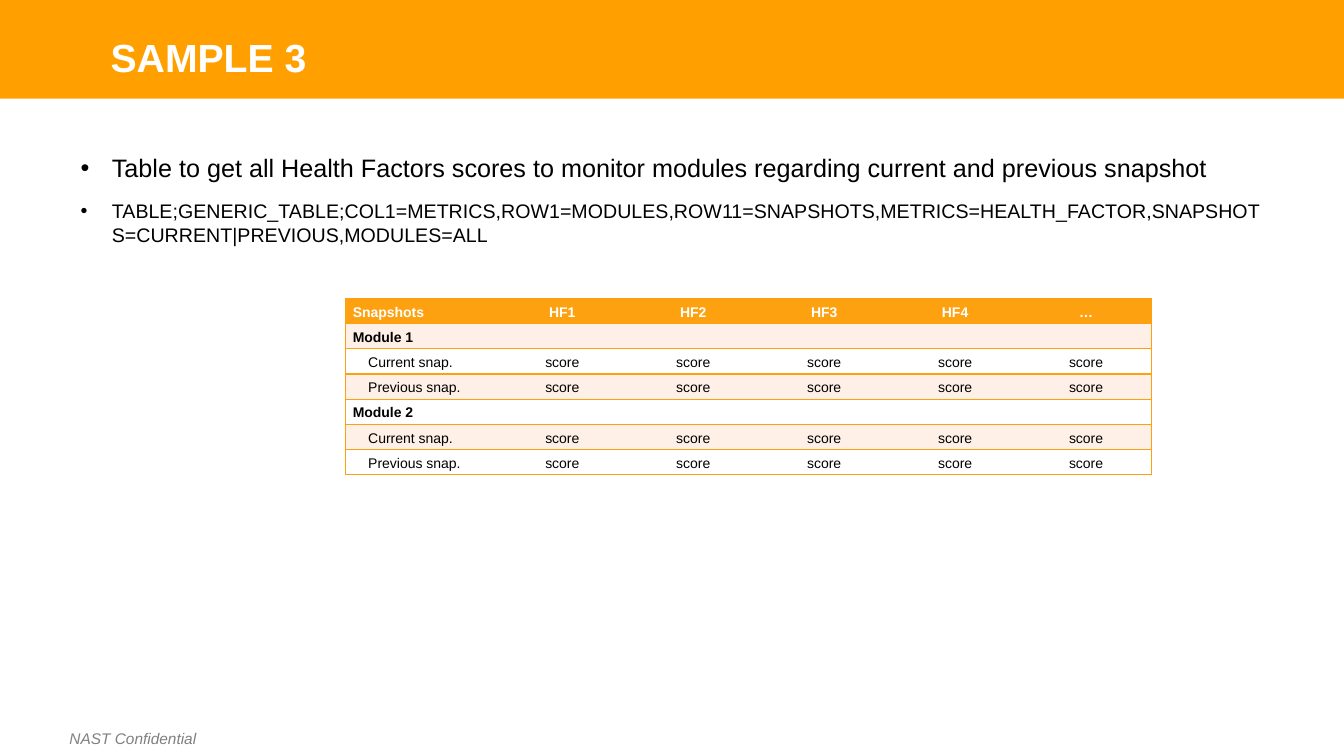
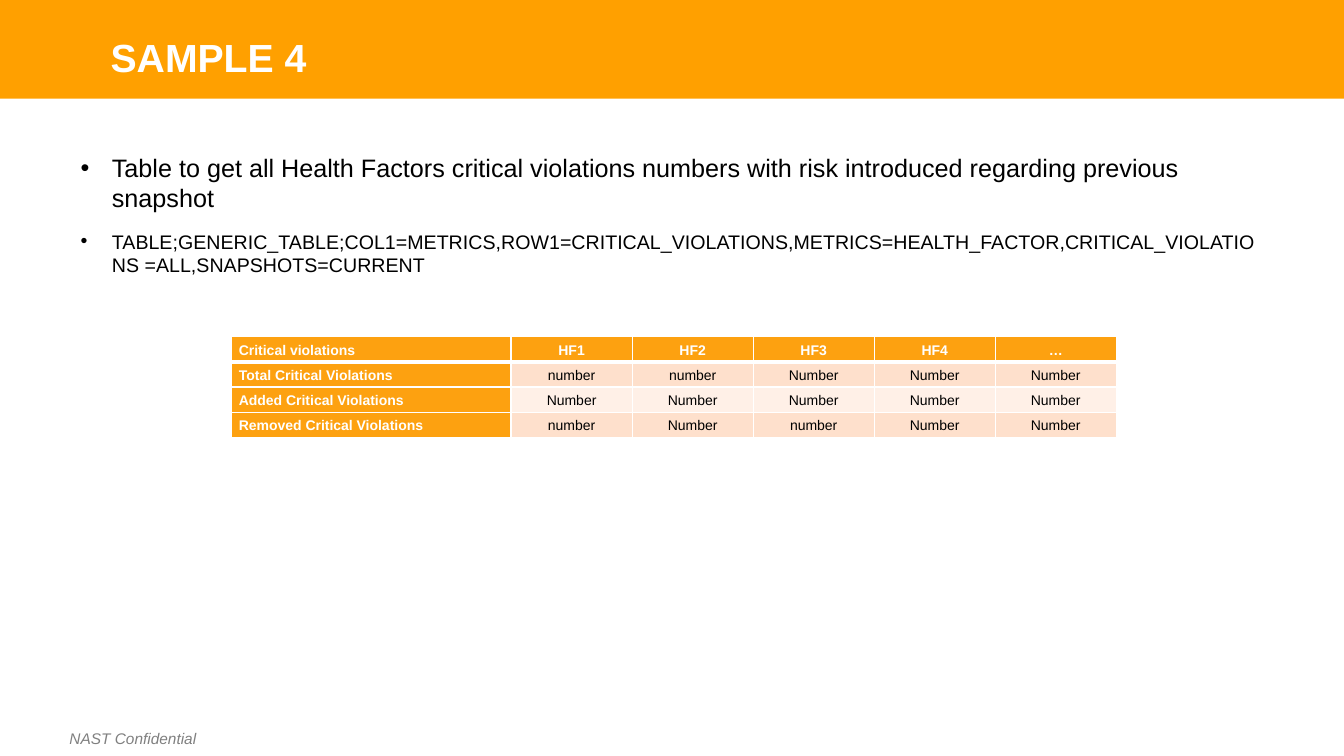
from pptx import Presentation
from pptx.dml.color import RGBColor
from pptx.enum.shapes import MSO_SHAPE
from pptx.enum.text import MSO_ANCHOR, PP_ALIGN
from pptx.oxml.ns import qn
from pptx.util import Cm, Pt
from lxml.etree import SubElement

AMBER = RGBColor(0xFF, 0xA0, 0x00)
ORANGE = RGBColor(0xFD, 0xA1, 0x10)
PEACH = RGBColor(0xFE, 0xE0, 0xCC)
CREAM = RGBColor(0xFF, 0xF0, 0xE7)
WHITE = RGBColor(0xFF, 0xFF, 0xFF)
BLACK = RGBColor(0, 0, 0)
GRAY = RGBColor(0x80, 0x80, 0x80)

FONT = "Arial"
FOOTER = "NAST Confidential"
WIDTH, HEIGHT = 33.87, 19.05
ROW = 0.635
PAD, INDENT = 0.18, 0.39
FACTORS = ["HF1", "HF2", "HF3", "HF4", "…"]
SCORES, BLANKS = ["score"] * 5, [""] * 5
SNAPS = [["Current snap."] + SCORES, ["Previous snap."] + SCORES]

SLIDES = [
    {
        "title": "SAMPLE 3",
        "about": "Table to get all Health Factors scores to monitor modules "
                 "regarding current and previous snapshot",
        "query": "TABLE;GENERIC_TABLE;COL1=METRICS,ROW1=MODULES,ROW11=SNAPSHOTS,"
                 "METRICS=HEALTH_FACTOR,SNAPSHOTS=CURRENT|PREVIOUS,MODULES=ALL",
        "rows": [["Snapshots"] + FACTORS,
                 ["Module 1"] + BLANKS, *SNAPS,
                 ["Module 2"] + BLANKS, *SNAPS],
        "at": (8.71, 7.52), "cols": (3.81, 3.3),
        "bands": (CREAM, WHITE), "line": ORANGE, "grid": False,
    },
    {
        "title": "SAMPLE 4",
        "about": "Table to get all Health Factors critical violations numbers "
                 "with risk introduced regarding previous snapshot",
        "query": "TABLE;GENERIC_TABLE;COL1=METRICS,ROW1=CRITICAL_VIOLATIONS,"
                 "METRICS=HEALTH_FACTOR,CRITICAL_VIOLATIONS =ALL,SNAPSHOTS=CURRENT",
        "rows": [["Critical violations"] + FACTORS,
                 ["Total Critical Violations", "number", "number"] + ["Number"] * 3,
                 ["Added Critical Violations"] + ["Number"] * 5,
                 ["Removed Critical Violations", "number", "Number", "number",
                  "Number", "Number"]],
        "at": (5.84, 8.48), "cols": (7.04, 3.05),
        "bands": (PEACH, CREAM), "line": WHITE, "grid": True,
    },
]


def style(par, size, color, bold=False, italic=False):
    """Format every run of a paragraph."""
    for run in par.runs:
        font = run.font
        font.name, font.size = FONT, Pt(size)
        font.bold, font.italic = bold, italic
        font.color.rgb = color


def add_text(slide, box, lines, wrap=True):
    """Add a text box and return its paragraphs."""
    frame = slide.shapes.add_textbox(*map(Cm, box)).text_frame
    frame.word_wrap = wrap
    frame.text = "\n".join(lines)
    return frame.paragraphs


def add_frame(slide, title):
    """Draw the band, footer and title that all slides share."""
    band = slide.shapes.add_shape(
        MSO_SHAPE.RECTANGLE, 0, 0, Cm(WIDTH), Cm(2.49))
    band.shadow.inherit = False
    band.fill.solid()
    band.fill.fore_color.rgb = AMBER
    band.line.fill.background()
    foot = add_text(slide, (1.5, 18.26, 3.73, 0.74), [FOOTER], wrap=False)
    style(foot[0], 11, GRAY, italic=True)
    head = add_text(slide, (2.54, 0.71, 29.21, 1.12), [title])
    style(head[0], 28, WHITE, bold=True)


def add_body(slide, lines):
    """Add the two bullets, the second one smaller."""
    pars = add_text(slide, (1.78, 3.71, 30.38, 12.09), lines)
    for par, size, gap in zip(pars, (18, 14), (0, 12)):
        style(par, size, BLACK)
        par.space_before = Pt(gap)
        props = par._p.get_or_add_pPr()
        props.set("marL", str(Cm(0.79)))
        props.set("indent", str(-Cm(0.79)))
        SubElement(props, qn("a:buFont"), typeface=FONT)
        SubElement(props, qn("a:buChar"), char="•")


def set_edges(cell, color, widths):
    """Set the left, right, top and bottom borders; width 0 hides one."""
    props = cell._tc.get_or_add_tcPr()
    for side, width in zip("LRTB", widths):
        line = SubElement(props, qn("a:ln" + side), w=str(Pt(width)))
        if width:
            fill = SubElement(line, qn("a:solidFill"))
            SubElement(fill, qn("a:srgbClr"), val=str(color))
        else:
            SubElement(line, qn("a:noFill"))


def fill_cell(cell, text, first, color, ink, bold):
    """Write and format the text of one table cell."""
    cell.fill.solid()
    cell.fill.fore_color.rgb = color
    cell.vertical_anchor = MSO_ANCHOR.MIDDLE
    cell.margin_left = cell.margin_right = Cm(PAD)
    cell.margin_top = cell.margin_bottom = 0
    cell.text_frame.text = text
    par = cell.text_frame.paragraphs[0]
    par.line_spacing = 1.15
    par.alignment = PP_ALIGN.LEFT if first else PP_ALIGN.CENTER
    style(par, 10, ink, bold)
    if not text:
        SubElement(par._p, qn("a:endParaRPr"), sz="1000")


def add_grid(slide, data):
    """Add the table with its bands and borders."""
    rows, grid = data["rows"], data["grid"]
    lead, rest = data["cols"]
    last = len(rows[0]) - 1
    size = (lead + rest * last, ROW * len(rows))
    table = slide.shapes.add_table(
        len(rows), last + 1, *map(Cm, data["at"] + size)).table
    for c, col in enumerate(table.columns):
        col.width = Cm(rest if c else lead)
    for r, row in enumerate(rows):
        table.rows[r].height = Cm(ROW)
        for c, text in enumerate(row):
            cell = table.cell(r, c)
            head = r == 0 or (grid and c == 0)
            group = not any(row[1:])
            set_edges(cell, data["line"], (
                int(grid or c == 0), int(grid or c == last),
                3 if grid and r == 1 else 1, 3 if grid and r == 0 else 1))
            fill_cell(cell, text, c == 0,
                      ORANGE if head else data["bands"][(r - 1) % 2],
                      WHITE if head else BLACK, head or group)
            if c == 0 and not head and not group:
                cell.margin_left = Cm(PAD + INDENT)


def build():
    """Build and save the slides."""
    deck = Presentation()
    deck.slide_width, deck.slide_height = Cm(WIDTH), Cm(HEIGHT)
    for data in SLIDES:
        slide = deck.slides.add_slide(deck.slide_layouts[6])
        add_frame(slide, data["title"])
        add_body(slide, [data["about"], data["query"]])
        add_grid(slide, data)
    deck.save("out.pptx")


build()
